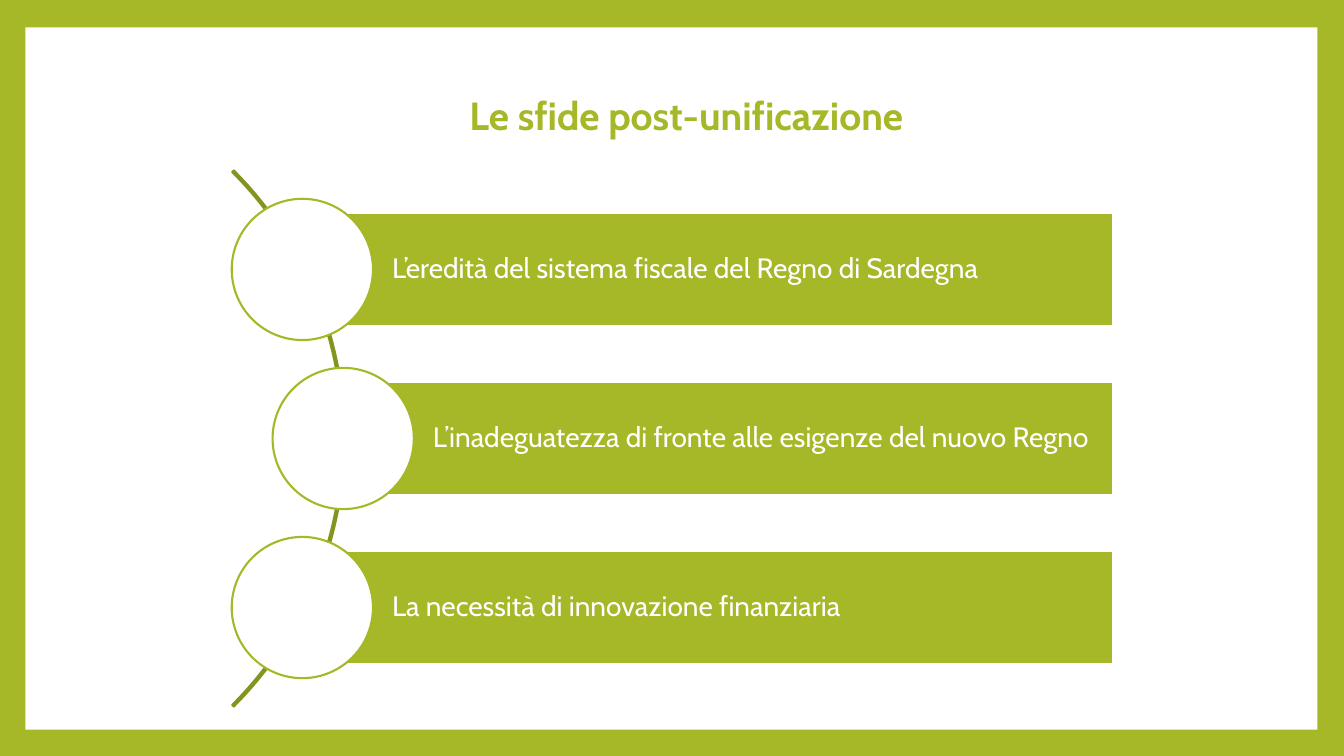
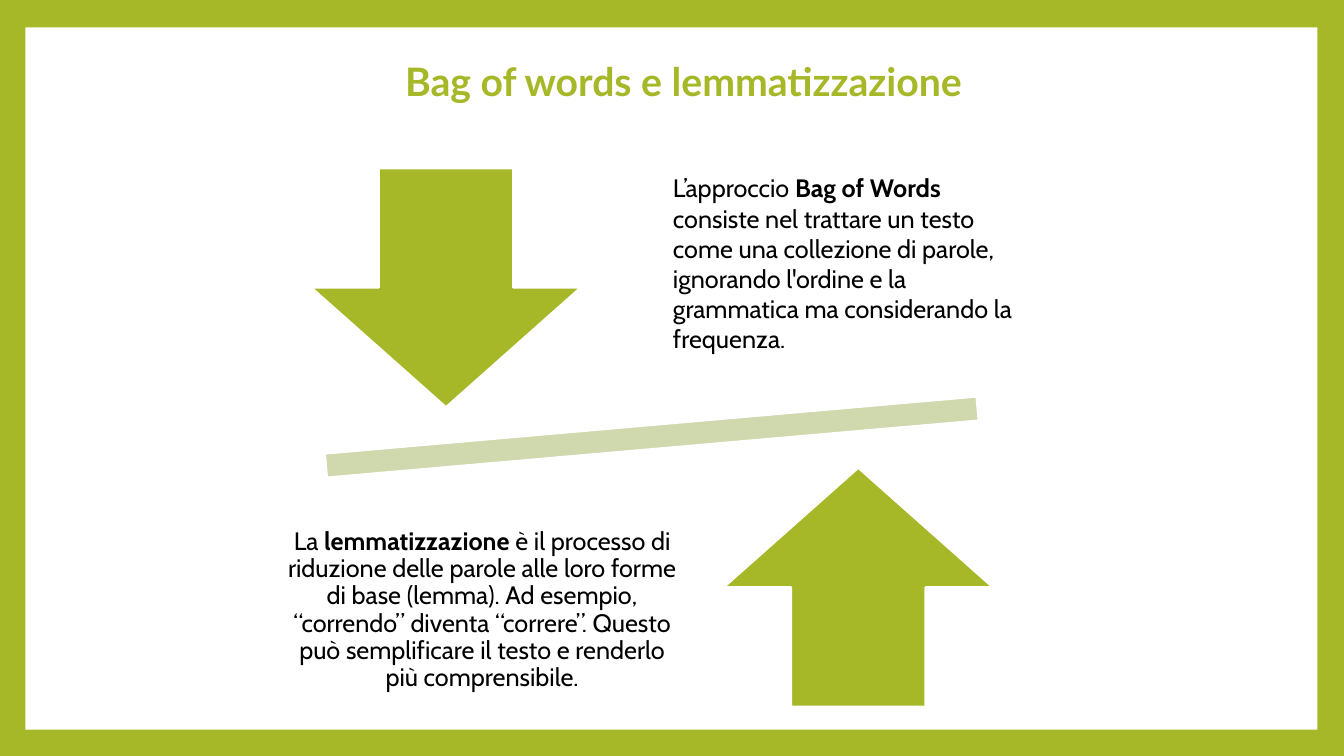
import pptx
import pptx.util
import pptx.dml.color
import pptx.enum.shapes
import pptx.enum.text

Cm = pptx.util.Cm
Pt = pptx.util.Pt
RGBColor = pptx.dml.color.RGBColor
Kind = pptx.enum.shapes.MSO_SHAPE
Align = pptx.enum.text.PP_ALIGN
Anchor = pptx.enum.text.MSO_ANCHOR

GREEN = RGBColor(0xA6, 0xB7, 0x27)
OLIVE = RGBColor(0x85, 0x93, 0x1F)
PALE = RGBColor(0xD0, 0xD8, 0xAD)
WHITE = RGBColor(0xFF, 0xFF, 0xFF)
BLACK = RGBColor(0, 0, 0)


class Deck:
    """Holds the shared style and the current slide."""

    font = "Cabin"

    def __init__(self):
        self.prs = pptx.Presentation()
        self.prs.slide_width = Cm(33.87)
        self.prs.slide_height = Cm(19.05)
        self.slide = None

    def start(self, title, left, top, width, align, font=font):
        """Add a slide with its title."""
        first = self.slide is None
        self.slide = self.prs.slides.add_slide(self.prs.slide_layouts[5])
        if first:
            self.frame()
        head = self.slide.shapes.title
        head.left, head.top = Cm(left), Cm(top)
        head.width, head.height = Cm(width), Cm(1.45)
        self.label(head, [(title, True)], 28, GREEN, align, font=font)

    def frame(self):
        """Give the master a green border around a white panel."""
        master = self.prs.slide_master
        fill = master.background.fill
        fill.solid()
        fill.fore_color.rgb = GREEN
        panel = self.shape(Kind.RECTANGLE, 0.64, 0.69, 32.56, 17.7, WHITE)
        master.shapes.element.insert(2, panel.element)

    def shape(self, kind, left, top, width, height, fill=None, line=None):
        item = self.slide.shapes.add_shape(
            kind, Cm(left), Cm(top), Cm(width), Cm(height))
        item.shadow.inherit = False
        if fill is None:
            item.fill.background()
        else:
            item.fill.solid()
            item.fill.fore_color.rgb = fill
        if line is None:
            item.line.fill.background()
        else:
            item.line.color.rgb = line
            item.line.width = Pt(1.5)
        return item

    def text(self, left, top, width, height, runs, **style):
        box = self.slide.shapes.add_textbox(
            Cm(left), Cm(top), Cm(width), Cm(height))
        self.label(box, runs, 18, BLACK, **style)

    def label(self, item, runs, size, color, align=Align.LEFT,
              anchor=Anchor.TOP, pad=(0.25, 0.13, 0.25, 0.13),
              space=1.0, font=font):
        """Fill a shape with (text, bold) runs."""
        frame = item.text_frame
        frame.word_wrap = True
        frame.vertical_anchor = anchor
        frame.margin_left, frame.margin_top = Cm(pad[0]), Cm(pad[1])
        frame.margin_right, frame.margin_bottom = Cm(pad[2]), Cm(pad[3])
        para = frame.paragraphs[0]
        para.alignment = align
        para.line_spacing = space
        for words, bold in runs:
            run = para.add_run()
            run.text = words
            run.font.name = font
            run.font.size = Pt(size)
            run.font.bold = bold
            run.font.color.rgb = color


def challenges(deck):
    deck.start("Le sfide post-unificazione", 8.94, 2.16, 16.71, Align.CENTER)

    # Curve behind the rows
    middle, ring = 11.05, 19.1
    arc = deck.shape(Kind.BLOCK_ARC, -10.41, middle - ring / 2, ring, ring,
                     line=OLIVE)
    for i, value in enumerate((189, 27, 0.003)):
        arc.adjustments[i] = value

    # Bars, each with a circle centred on its left end
    right, tall, disc, pitch = 28.04, 2.84, 3.56, 4.26
    rows = [
        (7.62, "L’eredità del sistema fiscale del Regno di Sardegna"),
        (8.65, "L’inadeguatezza di fronte alle esigenze del nuovo Regno"),
        (7.62, "La necessità di innovazione finanziaria"),
    ]
    for i, (left, words) in enumerate(rows):
        mid = middle + (i - 1) * pitch
        bar = deck.shape(Kind.RECTANGLE, left, mid - tall / 2,
                         right - left, tall, GREEN, WHITE)
        deck.label(bar, [(words, False)], 20, WHITE, anchor=Anchor.MIDDLE,
                   pad=(2.26, 0.15, 0.15, 0.15), space=0.9)
        deck.shape(Kind.OVAL, left - disc / 2, mid - disc / 2,
                   disc, disc, WHITE, GREEN)


def methods(deck):
    deck.start("Bag of words e lemmatizzazione", 9.96, 1.32, 19.46,
               Align.LEFT, "Lato")

    # Tilted beam between two arrows
    beam = deck.shape(Kind.MATH_MINUS, 5.21, 9.73, 22.43, 2.57, PALE, WHITE)
    beam.rotation = 355
    for kind, left, top in ((Kind.DOWN_ARROW, 7.85, 4.24),
                            (Kind.UP_ARROW, 18.24, 11.79)):
        deck.shape(kind, left, top, 6.78, 6.02, GREEN, WHITE)

    # Explanations
    deck.text(16.71, 4.22, 9.45, 4.88, [
        ("L’approccio ", False),
        ("Bag of Words ", True),
        ("consiste nel trattare un testo come una collezione di parole, "
         "ignorando l'ordine e la grammatica ma considerando la frequenza.",
         False),
    ])
    deck.text(6.83, 12.22, 10.64, 6.32, [
        ("La ", False),
        ("lemmatizzazione", True),
        (" è il processo di riduzione delle parole alle loro forme di base "
         "(lemma). Ad esempio, “correndo” diventa “correre”. Questo può "
         "semplificare il testo e renderlo più comprensibile.", False),
    ], align=Align.CENTER, anchor=Anchor.MIDDLE, pad=(0.36,) * 4, space=0.9)


def main():
    deck = Deck()
    challenges(deck)
    methods(deck)
    deck.prs.save("out.pptx")


if __name__ == "__main__":
    main()
